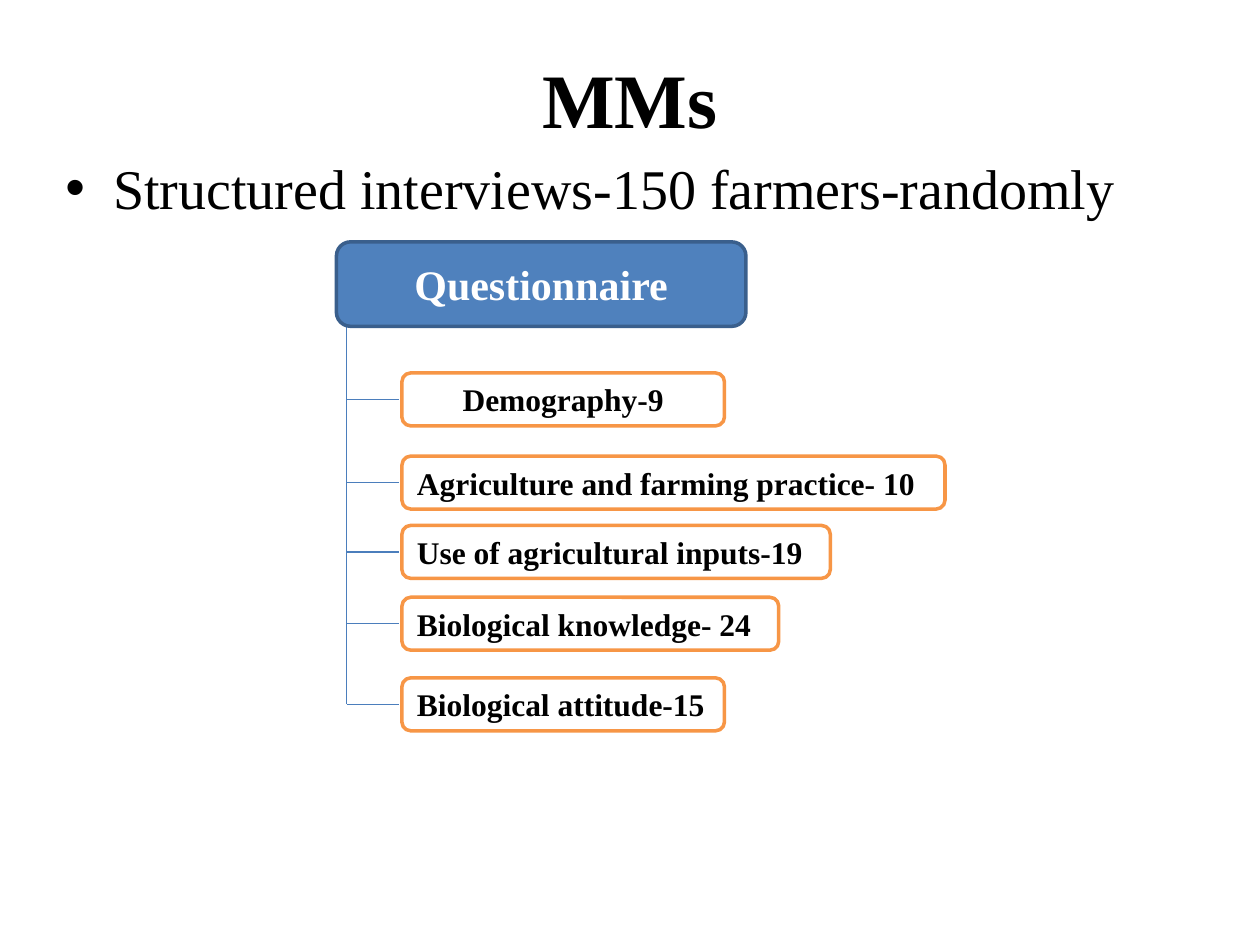
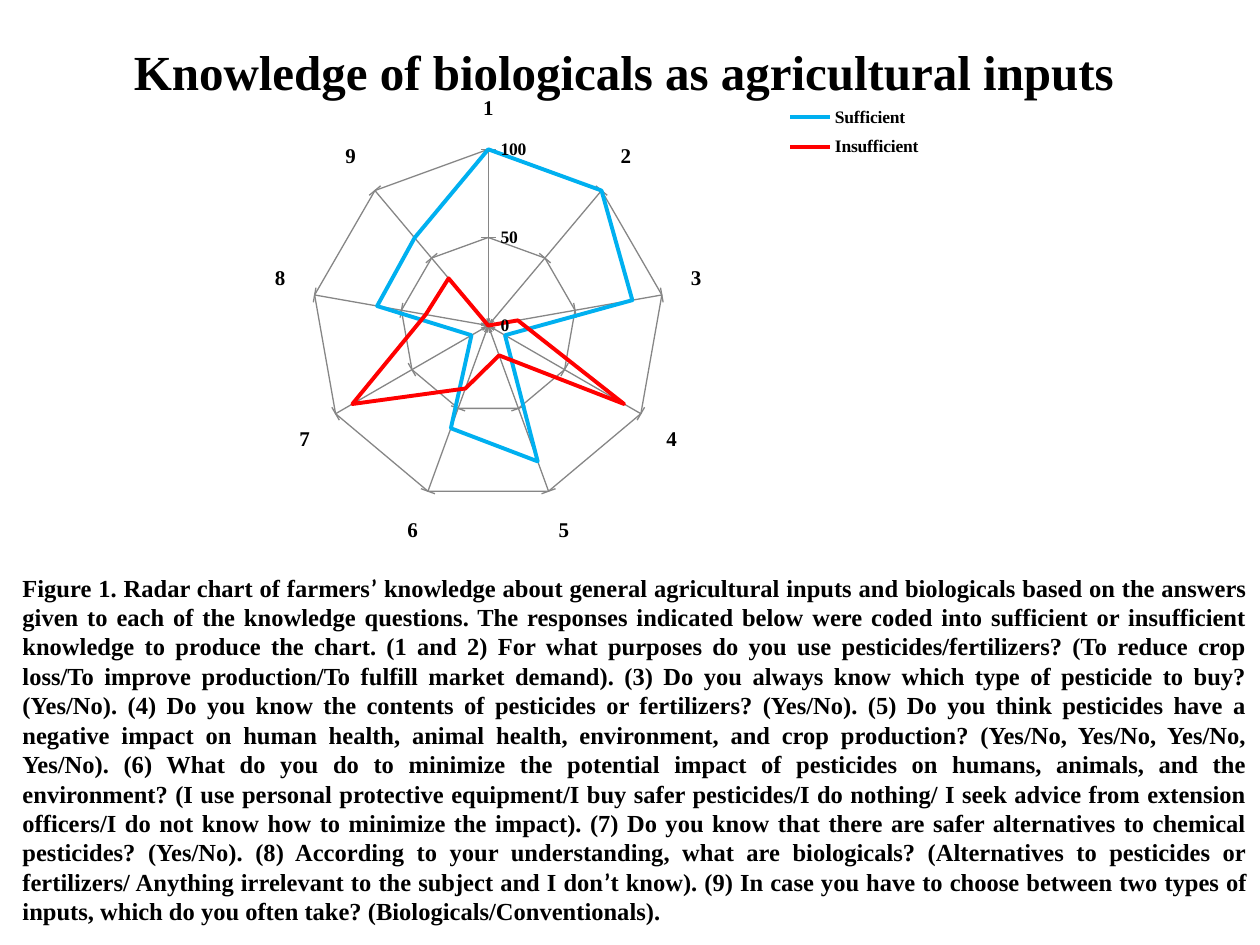
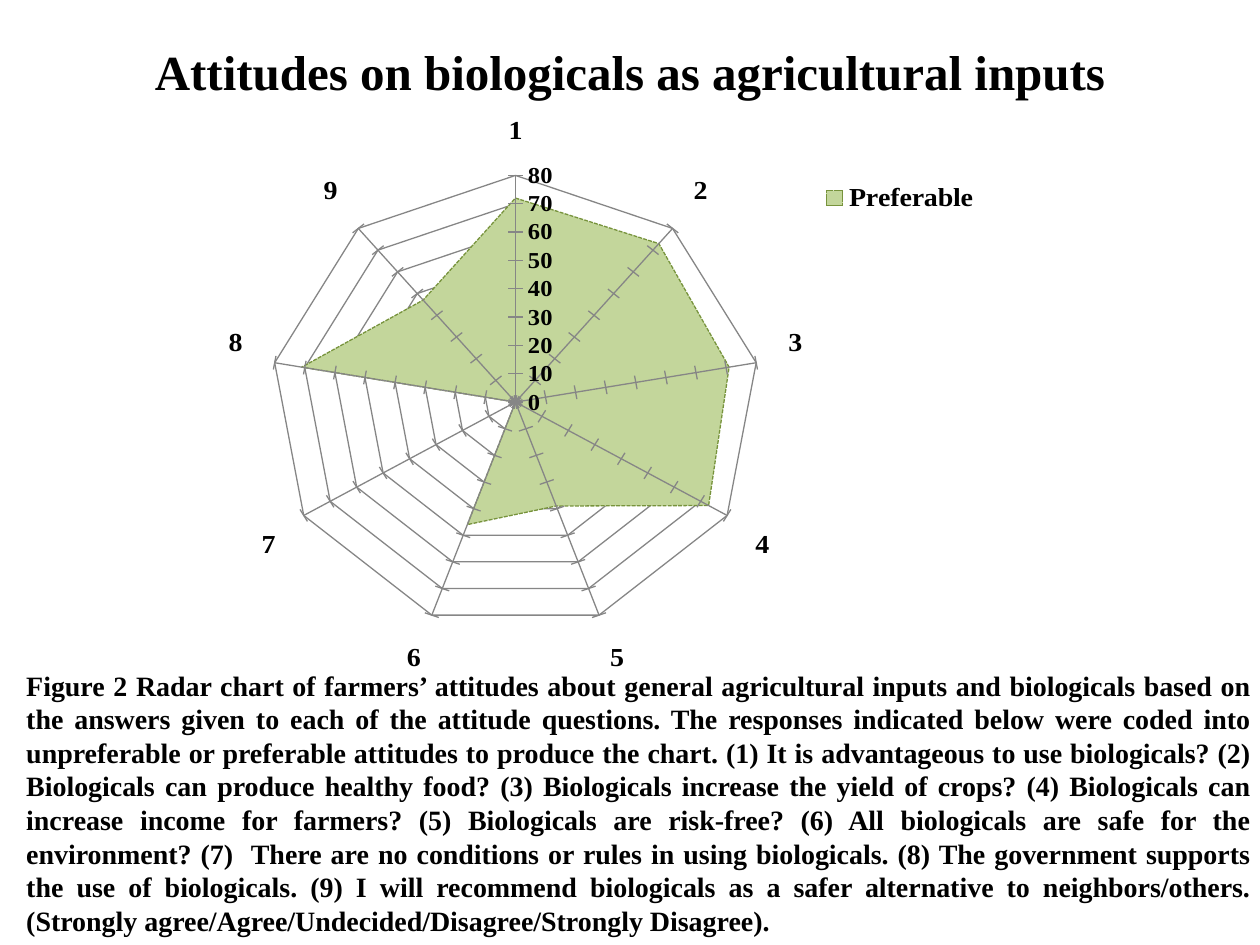
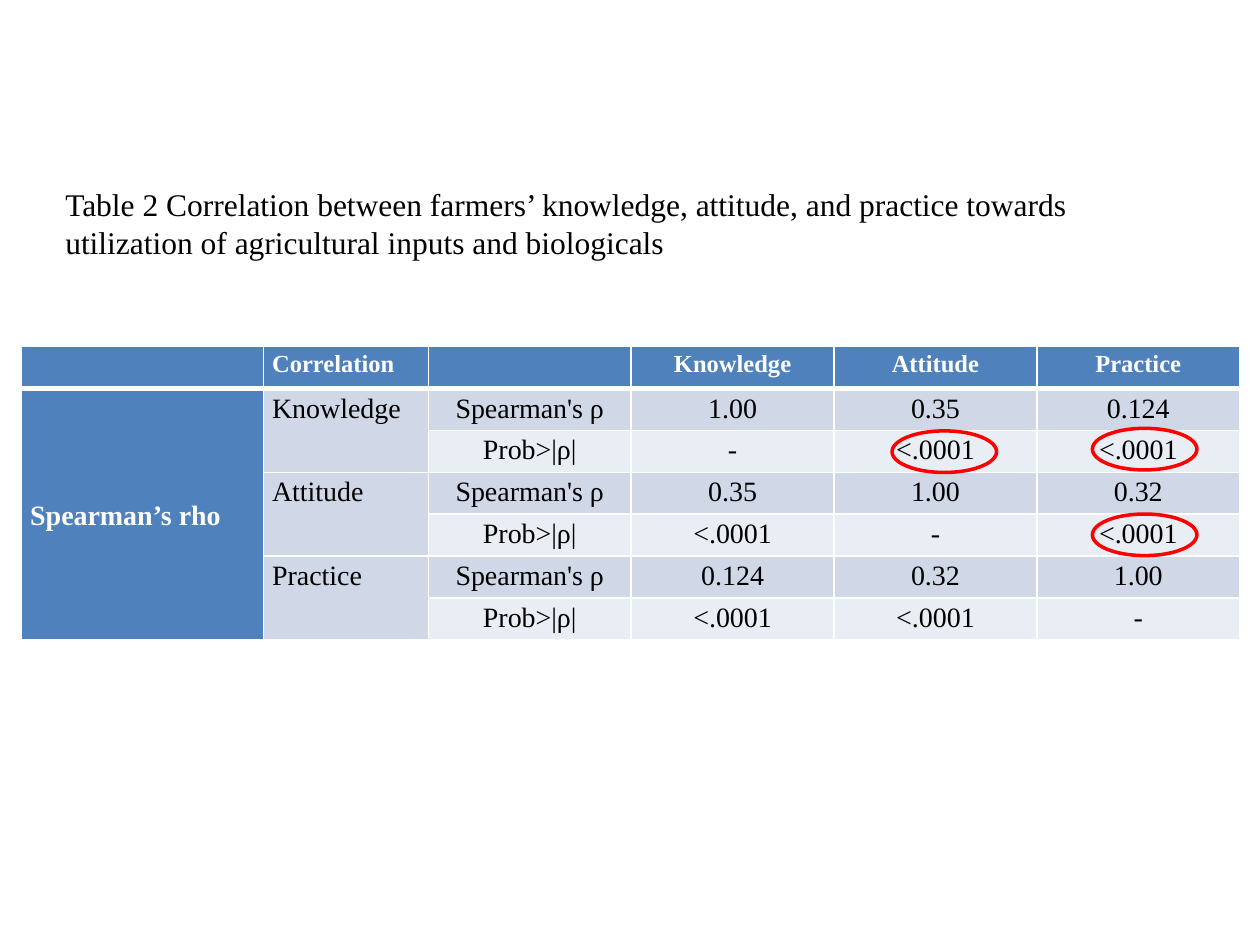
from lxml import etree
from pptx import Presentation
from pptx.chart.data import CategoryChartData
from pptx.dml.color import RGBColor
from pptx.enum.chart import XL_CHART_TYPE, XL_LEGEND_POSITION, XL_TICK_MARK
from pptx.enum.dml import MSO_LINE
from pptx.enum.shapes import MSO_CONNECTOR, MSO_SHAPE
from pptx.enum.text import MSO_ANCHOR, PP_ALIGN
from pptx.oxml import parse_xml
from pptx.oxml.ns import nsdecls, qn
from pptx.util import Inches, Pt

BLACK = RGBColor(0x00, 0x00, 0x00)
WHITE = RGBColor(0xFF, 0xFF, 0xFF)
BLUE = RGBColor(0x4F, 0x81, 0xBD)
DARK_BLUE = RGBColor(0x3A, 0x5F, 0x8C)
LINE_BLUE = RGBColor(0x4B, 0x7E, 0xBC)
ORANGE = RGBColor(0xF7, 0x96, 0x46)
SKY = RGBColor(0x00, 0xB0, 0xF0)
RED = RGBColor(0xFF, 0x00, 0x00)
GREEN = RGBColor(0xC3, 0xD6, 0x9B)
DARK_GREEN = RGBColor(0x77, 0x93, 0x3C)
GREY = RGBColor(0x86, 0x86, 0x86)
BAND_DARK = RGBColor(0xD0, 0xD8, 0xE8)
BAND_LIGHT = RGBColor(0xE9, 0xED, 0xF4)
FONT = "Times New Roman"


def add_run(paragraph, text, size, bold=False, color=BLACK, font=FONT):
    run = paragraph.add_run()
    run.text = text
    run.font.name = font
    run.font.size = Pt(size)
    run.font.bold = bold
    run.font.color.rgb = color


def add_text_box(slide, left, top, width, height, anchor, alignment):
    box = slide.shapes.add_textbox(Inches(left), Inches(top), Inches(width), Inches(height))
    box.text_frame.word_wrap = True
    box.text_frame.vertical_anchor = anchor
    paragraph = box.text_frame.paragraphs[0]
    paragraph.alignment = alignment
    return paragraph


presentation = Presentation()
presentation.slide_width = Inches(10)
presentation.slide_height = Inches(7.5)

# Slides and their titles: text, left, top, width, height, size, bold, alignment
titles = [
    ("MMs", 0.5, 0.3, 9, 0.95, 44, True, PP_ALIGN.CENTER),
    ("Knowledge of biologicals as agricultural inputs ", 0.5, 0.3, 9, 0.53, 28, True, PP_ALIGN.CENTER),
    ("Attitudes on biologicals as agricultural inputs", 0.5, 0.3, 9, 0.53, 28, True, PP_ALIGN.CENTER),
    ("Table 2 Correlation between farmers’ knowledge, attitude, and practice towards "
     "utilization of agricultural inputs and biologicals",
     0.42, 1.42, 9.17, 0.7, 18, False, PP_ALIGN.LEFT),
]
slides = []
for text, left, top, width, height, size, bold, alignment in titles:
    slide = presentation.slides.add_slide(presentation.slide_layouts[6])
    paragraph = add_text_box(slide, left, top, width, height, MSO_ANCHOR.MIDDLE, alignment)
    add_run(paragraph, text, size, bold)
    slides.append(slide)
methods_slide, knowledge_slide, attitude_slide, correlation_slide = slides

# Methods: bullet
paragraph = add_text_box(methods_slide, 0.42, 1.17, 9.25, 0.7, MSO_ANCHOR.TOP, PP_ALIGN.LEFT)
paragraph.space_before = Pt(6.4)
add_run(paragraph, "Structured interviews-150 farmers-randomly", 32)
properties = paragraph._p.get_or_add_pPr()
properties.set("marL", str(Inches(0.38)))
properties.set("indent", str(-Inches(0.38)))
properties.append(parse_xml('<a:buFont %s typeface="Arial"/>' % nsdecls("a")))
properties.append(parse_xml('<a:buChar %s char="•"/>' % nsdecls("a")))

# Methods: questionnaire tree, as text, left, top, width, height, alignment
boxes = [
    ("Questionnaire", 2.67, 1.92, 3.25, 0.67, PP_ALIGN.CENTER),
    ("Demography-9", 3.19, 2.96, 2.56, 0.42, PP_ALIGN.CENTER),
    ("Agriculture and farming practice- 10", 3.19, 3.62, 4.31, 0.42, PP_ALIGN.LEFT),
    ("Use of agricultural inputs-19", 3.19, 4.17, 3.4, 0.42, PP_ALIGN.LEFT),
    ("Biological knowledge- 24", 3.19, 4.74, 2.99, 0.42, PP_ALIGN.LEFT),
    ("Biological attitude-15", 3.19, 5.38, 2.56, 0.42, PP_ALIGN.LEFT),
]
trunk_x = 2.75
branches = [(trunk_x, top + 0.21, 3.17, top + 0.21) for _, _, top, _, _, _ in boxes[1:]]
trunk = (trunk_x, 2.58, trunk_x, branches[-1][1])
for start_x, start_y, end_x, end_y in branches + [trunk]:
    line = methods_slide.shapes.add_connector(
        MSO_CONNECTOR.STRAIGHT, Inches(start_x), Inches(start_y), Inches(end_x), Inches(end_y))
    line.line.color.rgb = LINE_BLUE
    line.line.width = Pt(0.75)
    etree.SubElement(line._element.spPr, qn("a:effectLst"))

for index, (text, left, top, width, height, alignment) in enumerate(boxes):
    is_root = index == 0
    shape = methods_slide.shapes.add_shape(
        MSO_SHAPE.ROUNDED_RECTANGLE, Inches(left), Inches(top), Inches(width), Inches(height))
    shape.shadow.inherit = False
    shape.fill.solid()
    shape.fill.fore_color.rgb = BLUE if is_root else WHITE
    shape.line.color.rgb = DARK_BLUE if is_root else ORANGE
    shape.line.width = Pt(2)
    shape.text_frame.word_wrap = True
    shape.text_frame.vertical_anchor = MSO_ANCHOR.MIDDLE
    paragraph = shape.text_frame.paragraphs[0]
    paragraph.alignment = alignment
    add_run(paragraph, text, 24 if is_root else 18, True, WHITE if is_root else BLACK)

# Radar charts; layouts are fractions of the chart: x, y, width, height
charts = [
    dict(slide=knowledge_slide, kind=XL_CHART_TYPE.RADAR, place=(1.58, 0.7, 5.85, 3.67),
         series=[("Sufficient  ", (100, 100, 83, 11, 82, 62, 11, 64, 65), SKY),
                 ("Insufficient  ", (0, 0, 17, 89, 18, 38, 89, 36, 35), RED)],
         maximum=100, step=50, category_size=12, value_size=10, legend_size=10,
         plot=None, legend=(0.79, 0.02, 0.21, 0.15)),
    dict(slide=attitude_slide, kind=XL_CHART_TYPE.RADAR_FILLED, place=(0.25, 0.92, 7.92, 4.42),
         series=[("Preferable", (72, 73, 71, 73, 39, 46, 0, 71, 47), GREEN)],
         maximum=80, step=10, category_size=16, value_size=14, legend_size=16,
         plot=(0.24, 0.07, 0.49, 0.88), legend=(0.77, 0.07, 0.2, 0.09)),
]
for item in charts:
    data = CategoryChartData()
    data.categories = [str(number) for number in range(1, 10)]
    for name, values, color in item["series"]:
        data.add_series(name, values)
    chart = item["slide"].shapes.add_chart(
        item["kind"], *[Inches(length) for length in item["place"]], data).chart
    chart.has_title = False
    chart.has_legend = True
    chart.legend.position = XL_LEGEND_POSITION.RIGHT
    chart.legend.include_in_layout = False
    chart.plots[0].vary_by_categories = False

    category_axis, value_axis = chart.category_axis, chart.value_axis
    value_axis.minimum_scale = 0
    value_axis.maximum_scale = item["maximum"]
    value_axis.major_unit = item["step"]
    value_axis.major_tick_mark = XL_TICK_MARK.CROSS
    category_axis.major_tick_mark = XL_TICK_MARK.OUTSIDE
    for axis in (category_axis, value_axis):
        axis.format.line.color.rgb = GREY
        axis.major_gridlines.format.line.color.rgb = GREY
    fonts = [(chart.font, 10), (category_axis.tick_labels.font, item["category_size"]),
             (value_axis.tick_labels.font, item["value_size"]),
             (chart.legend.font, item["legend_size"])]
    for font, size in fonts:
        font.name = FONT
        font.size = Pt(size)
        font.bold = True
        font.color.rgb = BLACK

    for series, (name, values, color) in zip(chart.plots[0].series, item["series"]):
        if item["kind"] == XL_CHART_TYPE.RADAR:
            series.format.line.color.rgb = color
            series.format.line.width = Pt(2.25)
        else:
            series.format.fill.solid()
            series.format.fill.fore_color.rgb = color
            series.format.line.color.rgb = DARK_GREEN
            series.format.line.width = Pt(0.75)
            series.format.line.dash_style = MSO_LINE.SQUARE_DOT

    # Manual places of the plot and the legend
    plot_area = chart._chartSpace.find(".//" + qn("c:plotArea"))
    legend = chart.legend._element
    for parent, index, box in ((plot_area, 0, item["plot"]), (legend, 1, item["legend"])):
        if box is None:
            continue
        for old_layout in parent.findall(qn("c:layout")):
            parent.remove(old_layout)
        layout = parse_xml("<c:layout %s><c:manualLayout/></c:layout>" % nsdecls("c"))
        settings = [("xMode", "edge"), ("yMode", "edge")] + list(zip("xywh", box))
        if parent is plot_area:
            settings.insert(0, ("layoutTarget", "inner"))
        for tag, value in settings:
            etree.SubElement(layout[0], qn("c:" + tag)).set("val", str(value))
        parent.insert(index, layout)

# Figure captions, one sentence group a line
knowledge_caption = " ".join([
    "Figure 1. Radar chart of farmers’ knowledge about general agricultural inputs and biologicals "
    "based on the answers given to each of the knowledge questions.",
    "The responses indicated below were coded into sufficient or insufficient knowledge to produce "
    "the chart.",
    "(1 and 2) For what purposes do you use pesticides/fertilizers? (To reduce crop loss/To improve "
    "production/To fulfill market demand).",
    "(3) Do you always know which type of pesticide to buy? (Yes/No).",
    "(4) Do you know the contents of pesticides or fertilizers? (Yes/No).",
    "(5) Do you think pesticides have a negative impact on human health, animal health, environment, "
    "and crop production? (Yes/No, Yes/No, Yes/No, Yes/No).",
    "(6) What do you do to minimize the potential impact of pesticides on humans, animals, and the "
    "environment? (I use personal protective equipment/I buy safer pesticides/I do nothing/ I seek "
    "advice from extension officers/I do not know how to minimize the impact).",
    "(7) Do you know that there are safer alternatives to chemical pesticides? (Yes/No).",
    "(8) According to your understanding, what are biologicals? (Alternatives to pesticides or "
    "fertilizers/ Anything irrelevant to the subject and I don’t know).",
    "(9) In case you have to choose between two types of inputs, which do you often take? "
    "(Biologicals/Conventionals).",
])
paragraph = add_text_box(knowledge_slide, 0.08, 4.47, 9.92, 2.95, MSO_ANCHOR.MIDDLE, PP_ALIGN.JUSTIFY)
for index, text in enumerate(knowledge_caption.split("’")):
    if index:
        add_run(paragraph, "’", 14, True, font="Calibri")
    add_run(paragraph, text, 14, True)

attitude_caption = " ".join([
    "Figure 2 Radar chart of farmers’ attitudes about general agricultural inputs and biologicals "
    "based on the answers given to each of the attitude questions.",
    "The responses indicated below were coded into unpreferable or preferable attitudes to produce "
    "the chart.",
    "(1) It is advantageous to use biologicals?",
    "(2) Biologicals can produce healthy food?",
    "(3) Biologicals increase the yield of crops?",
    "(4) Biologicals can increase income for farmers?",
    "(5) Biologicals are risk-free?",
    "(6) All biologicals are safe for the environment?",
    "(7)  There are no conditions or rules in using biologicals.",
    "(8) The government supports the use of biologicals.",
    "(9) I will recommend biologicals as a safer alternative to neighbors/others.",
    "(Strongly agree/Agree/Undecided/Disagree/Strongly Disagree).",
])
paragraph = add_text_box(attitude_slide, 0.11, 5.24, 9.92, 2.26, MSO_ANCHOR.MIDDLE, PP_ALIGN.JUSTIFY)
add_run(paragraph, attitude_caption, 16, True)

# Correlation table
RHO, PROBABILITY = "Spearman's ρ", "Prob>|ρ|"
rows = [
    ("", "Correlation", "", "Knowledge", "Attitude", "Practice"),
    ("Spearman’s rho", "Knowledge", RHO, "1.00", "0.35", "0.124"),
    ("", "", PROBABILITY, "-", "<.0001", "<.0001"),
    ("", "Attitude", RHO, "0.35", "1.00", "0.32"),
    ("", "", PROBABILITY, "<.0001", "-", "<.0001"),
    ("", "Practice", RHO, "0.124", "0.32", "1.00"),
    ("", "", PROBABILITY, "<.0001", "<.0001", "-"),
]
table = correlation_slide.shapes.add_table(
    7, 6, Inches(0.17), Inches(2.75), Inches(9.67), Inches(2.33)).table
for column, width in zip(table.columns, (1.92, 1.31, 1.61, 1.61, 1.61, 1.61)):
    column.width = Inches(width)
for row in table.rows:
    row.height = Inches(2.33 / 7)
table.cell(1, 0).merge(table.cell(6, 0))
for row_index in (1, 3, 5):
    table.cell(row_index, 1).merge(table.cell(row_index + 1, 1))

for row_index, texts in enumerate(rows):
    for column_index, text in enumerate(texts):
        cell = table.cell(row_index, column_index)
        is_header = row_index == 0
        is_heading = is_header or column_index == 0
        cell.margin_left = cell.margin_right = Inches(0.07)
        cell.margin_top = cell.margin_bottom = 0
        cell.vertical_anchor = MSO_ANCHOR.MIDDLE if column_index == 0 else MSO_ANCHOR.TOP
        for side in ("lnL", "lnR", "lnT", "lnB"):
            thick = (is_header and side == "lnB") or (row_index == 1 and side == "lnT")
            cell._tc.get_or_add_tcPr().append(parse_xml(
                '<a:%s %s w="%d"><a:solidFill><a:srgbClr val="%s"/></a:solidFill></a:%s>'
                % (side, nsdecls("a"), Pt(3 if thick else 1), WHITE, side)))
        cell.fill.solid()
        if is_heading:
            cell.fill.fore_color.rgb = BLUE
        else:
            cell.fill.fore_color.rgb = BAND_DARK if row_index % 2 or column_index == 1 else BAND_LIGHT
        if text:
            paragraph = cell.text_frame.paragraphs[0]
            paragraph.alignment = PP_ALIGN.CENTER if column_index > 1 else PP_ALIGN.LEFT
            paragraph.line_spacing = 1.15
            add_run(paragraph, text, 14 if is_header else 16, is_heading, WHITE if is_heading else BLACK)

# Rings around the significant values
for left, top in ((7.08, 3.42), (8.67, 3.4), (8.67, 4.08)):
    ring = correlation_slide.shapes.add_shape(
        MSO_SHAPE.OVAL, Inches(left), Inches(top), Inches(0.83), Inches(0.33))
    ring.shadow.inherit = False
    ring.fill.background()
    ring.line.color.rgb = RED
    ring.line.width = Pt(2)

presentation.save("out.pptx")
